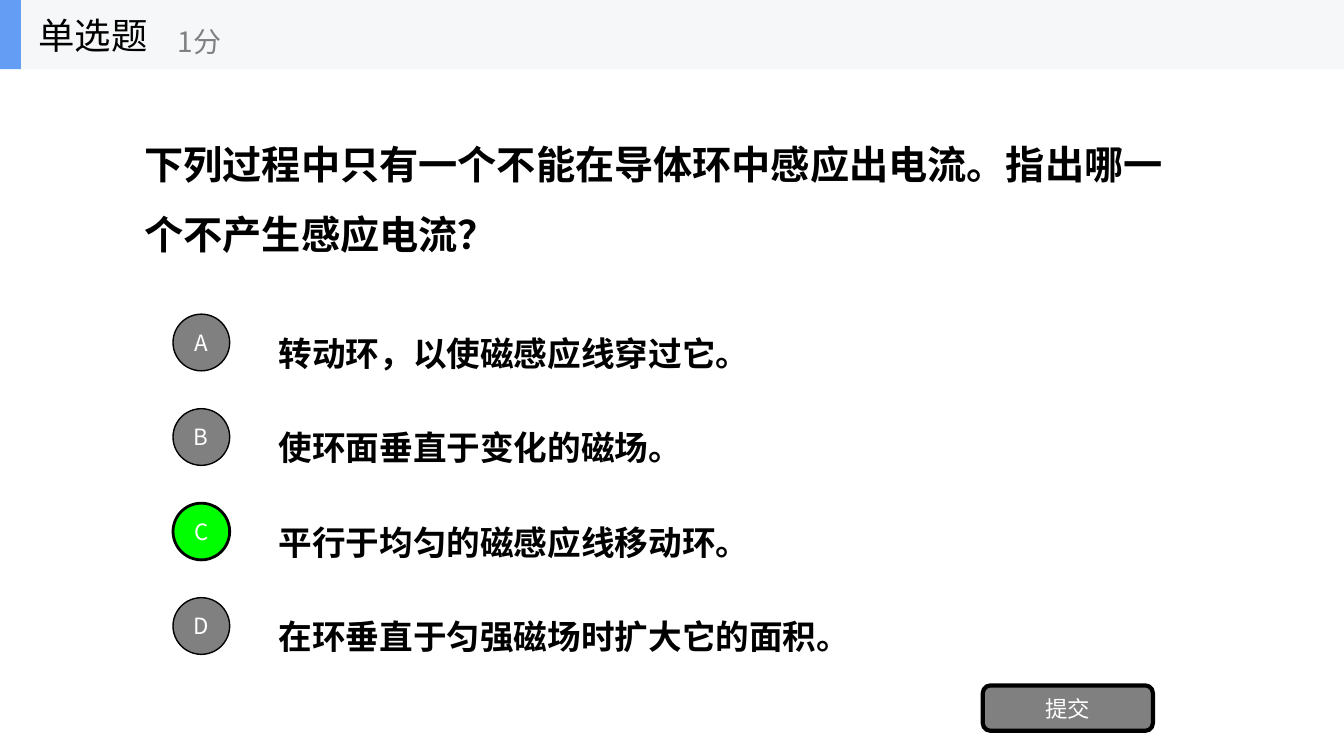
import dataclasses
import typing

import pptx
import pptx.dml.color
import pptx.enum.shapes
import pptx.enum.text
import pptx.oxml
import pptx.oxml.ns
import pptx.util

Kind = pptx.enum.shapes.MSO_SHAPE
Align = pptx.enum.text.PP_ALIGN


@dataclasses.dataclass(frozen=True)
class Theme:
    black: str = "000000"
    white: str = "FFFFFF"
    gray: str = "808080"
    green: str = "00FF00"
    band: str = "F6F7F8"
    blue: str = "639EF4"
    latin: str = "Calibri"
    sans: str = "Noto Sans CJK SC"
    ask: int = 28
    label: int = 26
    body: int = 24
    score: int = 20
    small: int = 16


class Box(typing.NamedTuple):
    """Left, top, width and height in grid columns and rows."""
    col: float
    row: float
    wide: float
    high: float


class Style(typing.NamedTuple):
    size: int
    color: str
    font: str
    bold: bool = False
    align: Align = Align.LEFT
    space: float = 1.0


class Option(typing.NamedTuple):
    letter: str
    text: str
    right: bool = False


THEME = Theme()
COLS, ROWS = 160, 90
WIDTH, HEIGHT = pptx.util.Inches(13.33), pptx.util.Inches(7.5)
HEAD = 8.25   # rows in the header band
FIRST = 36.6  # row of the first option
STEP = 11.25  # rows from one option to the next
DOT = 6.75    # size of a letter circle

ASK = Style(THEME.ask, THEME.black, THEME.latin, True, space=1.5)
BODY = ASK._replace(size=THEME.body)
LABEL = Style(THEME.label, THEME.black, THEME.sans)
SCORE = Style(THEME.score, THEME.gray, THEME.sans)
MARK = Style(THEME.small, THEME.white, THEME.sans, align=Align.CENTER)

OPTIONS = [
    Option("A", "转动环，以使磁感应线穿过它。"),
    Option("B", "使环面垂直于变化的磁场。"),
    Option("C", "平行于均匀的磁感应线移动环。", True),
    Option("D", "在环垂直于匀强磁场时扩大它的面积。"),
]


def rgb(code: str) -> pptx.dml.color.RGBColor:
    return pptx.dml.color.RGBColor.from_string(code)


def place(box: Box) -> tuple[int, int, int, int]:
    return (round(box.col * WIDTH / COLS), round(box.row * HEIGHT / ROWS),
            round(box.wide * WIDTH / COLS), round(box.high * HEIGHT / ROWS))


def write(shape: typing.Any, text: str, style: Style) -> None:
    frame = shape.text_frame
    frame.text = text
    frame.word_wrap = True
    frame.auto_size = pptx.enum.text.MSO_AUTO_SIZE.NONE
    frame.vertical_anchor = pptx.enum.text.MSO_ANCHOR.MIDDLE
    para = frame.paragraphs[0]
    para.alignment = style.align
    para.line_spacing = style.space
    run = para.runs[0]
    run.font.size = pptx.util.Pt(style.size)
    run.font.bold = style.bold
    run.font.color.rgb = rgb(style.color)
    run.font.name = style.font
    # East Asian glyphs need their own typeface element
    east = pptx.oxml.parse_xml(
        f'<a:ea {pptx.oxml.ns.nsdecls("a")} typeface="{THEME.sans}"/>')
    run.font.name = style.font
    run._r.get_or_add_rPr().append(east)


def add_text(slide: typing.Any, box: Box, text: str, style: Style) -> None:
    write(slide.shapes.add_textbox(*place(box)), text, style)


def add_form(slide: typing.Any, kind: Kind, box: Box, fill: str,
             line: float = 0, text: str = "") -> None:
    shape = slide.shapes.add_shape(kind, *place(box))
    shape.shadow.inherit = False
    shape.fill.solid()
    shape.fill.fore_color.rgb = rgb(fill)
    if line:
        shape.line.color.rgb = rgb(THEME.black)
        shape.line.width = pptx.util.Pt(line)
    else:
        shape.line.fill.background()
    if text:
        frame = shape.text_frame
        frame.margin_left = frame.margin_right = 0
        frame.margin_top = frame.margin_bottom = 0
        write(shape, text, MARK)


def add_option(slide: typing.Any, row: float, item: Option) -> None:
    add_text(slide, Box(32, row, 112, 8.4), item.text, BODY)
    fill, line = (THEME.green, 2) if item.right else (THEME.gray, 1)
    add_form(slide, Kind.OVAL, Box(20.6, row + 0.8, DOT, DOT),
             fill, line, item.letter)


def main() -> None:
    deck = pptx.Presentation()
    deck.slide_width, deck.slide_height = WIDTH, HEIGHT
    slide = deck.slides.add_slide(deck.slide_layouts[5])

    # Question
    title = slide.shapes.title
    title.left, title.top, title.width, title.height = place(
        Box(16, HEAD, 128, 28))
    write(title, "下列过程中只有一个不能在导体环中感应出电流。指出哪一个不产生感应电流？", ASK)

    # Options
    for i, item in enumerate(OPTIONS):
        add_option(slide, FIRST + i * STEP, item)

    # Submit button
    add_form(slide, Kind.ROUNDED_RECTANGLE, Box(117, 81.6, 20.25, 5.4),
             THEME.gray, 3, "提交")

    # Header band
    add_form(slide, Kind.RECTANGLE, Box(0, 0, COLS, HEAD), THEME.band)
    add_form(slide, Kind.RECTANGLE, Box(0, 0, 2.5, HEAD), THEME.blue)
    add_text(slide, Box(3.4, 0, 25, HEAD), "单选题", LABEL)
    add_text(slide, Box(20, 1.5, 30, 6.75), "1分", SCORE)

    deck.save("out.pptx")


if __name__ == "__main__":
    main()
